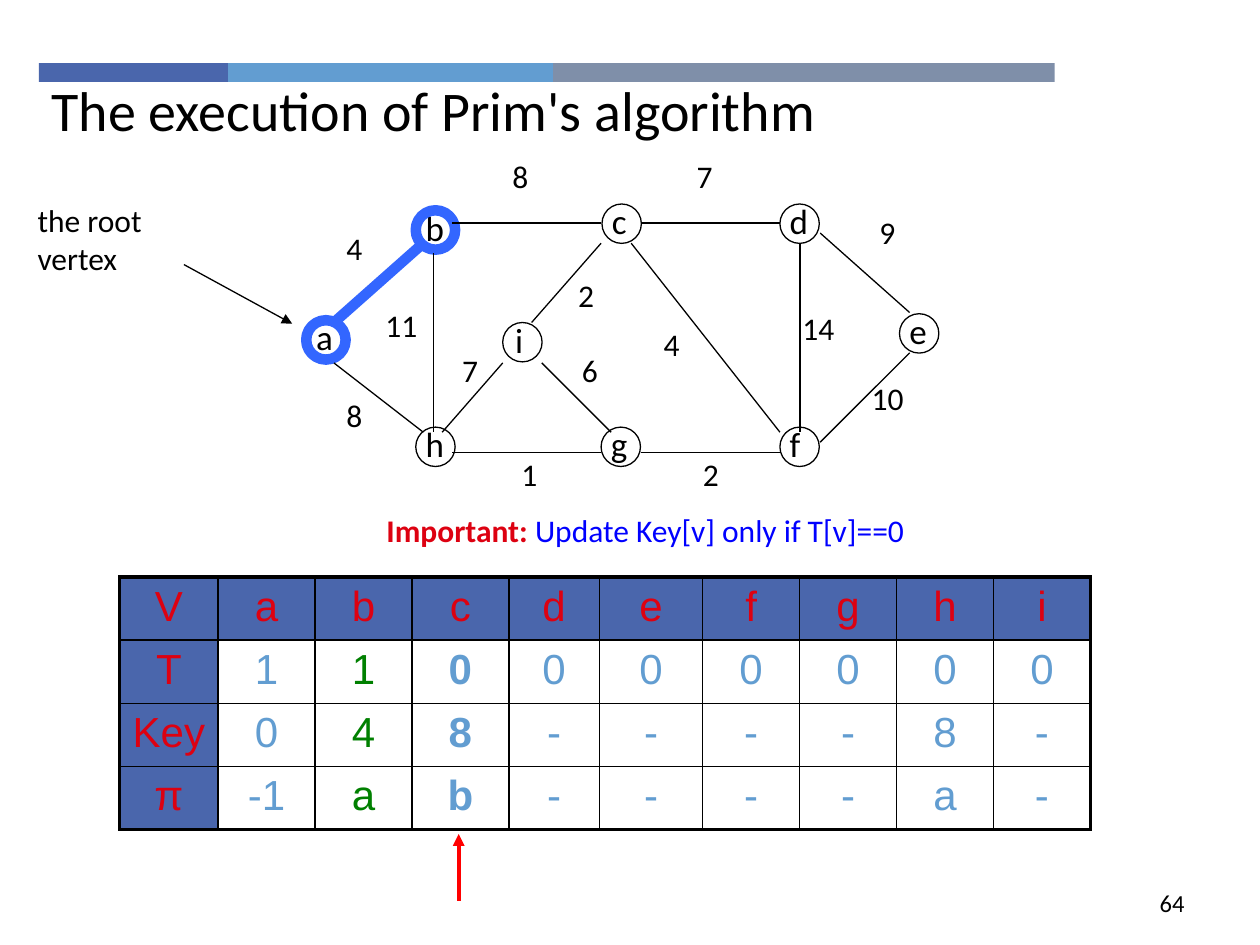
from lxml.etree import SubElement
from pptx import Presentation
from pptx.dml.color import RGBColor
from pptx.enum.shapes import MSO_CONNECTOR, MSO_SHAPE
from pptx.enum.text import MSO_ANCHOR, MSO_AUTO_SIZE, PP_ALIGN
from pptx.oxml.ns import qn
from pptx.util import Pt

BLACK = RGBColor(0x00, 0x00, 0x00)
NAVY = RGBColor(0x4A, 0x66, 0xAC)
SKY = RGBColor(0x62, 0x9D, 0xD1)
SLATE = RGBColor(0x7F, 0x8F, 0xA9)
TREE = RGBColor(0x33, 0x66, 0xFF)
RED = RGBColor(0xDD, 0x01, 0x11)
ARROW = RGBColor(0xFF, 0x00, 0x00)
BLUE = RGBColor(0x00, 0x00, 0xFF)
GREEN = RGBColor(0x00, 0x80, 0x00)

THIN, THICK, BOLD = 0.75, 6, 2.25
SIZE = 22.5  # node diameter

BARS = [(108, NAVY), (185.8, SKY), (286.6, SLATE)]

# name: left, top of the circle
NODES = {
    "a": (175, 183), "b": (237.6, 120.2), "h": (237.6, 244.1),
    "c": (344, 116.6), "d": (445.7, 116.6), "e": (514, 179.3),
    "f": (445.7, 244.1), "g": (343.5, 244.1), "i": (287.3, 184.3),
}
DONE = "ab"

# start, end, weight, left and top of the weight
EDGES = [
    ((190.8, 184.3), (241.9, 139), "4", 190.8, 127.4),
    ((190.8, 207.4), (241.9, 247), "8", 190.8, 222.5),
    ((247.7, 144.7), (247.7, 247), "11", 213.1, 171.4),
    ((258.5, 127.4), (343.5, 127.4), "8", 285.8, 86.4),
    ((258.5, 258.5), (343.5, 258.5), "1", 290.9, 256.3),
    ((366.5, 258.5), (445.7, 258.5), "2", 394.6, 256.3),
    ((360.7, 139), (445.7, 247), "4", 372.2, 182.2),
    ((366.5, 127.4), (445.7, 127.4), "7", 391, 86.4),
    ((457.2, 139), (457.2, 247), "14", 451.4, 172.8),
    ((468.7, 133.2), (519.8, 178.6), "9", 495.4, 118.1),
    ((468.7, 252.7), (519.8, 201.6), "10", 491, 213.1),
    ((309.6, 207.4), (349.2, 247), "6", 325.4, 197.3),
    ((252.7, 247), (287.3, 207.4), "7", 257, 197.3),
    ((303.8, 184.3), (343.5, 139), "2", 323.3, 154.1),
]

COLS = [56.2, 55.4, 55.4, 55.4, 51.8, 59, 55.4, 55.4, 55.4, 55.4]
ROWS = [
    ["V", *"abcdefghi"],
    ["T", *"110000000"],
    ["Key", *"048----8-"],
    ["π", "-1", *"ab----a-"],
]


class Deck:
    """Holds the text style and the current slide."""

    face = "Calibri"

    def __init__(self, slide):
        self.slide = slide
        self.shapes = slide.shapes

    def style(self, font, size, color=BLACK, bold=False, face=None):
        font.name = face or self.face
        font.size = Pt(size)
        font.bold = bold
        font.color.rgb = color

    def title(self, text, x, y, w, h):
        box = self.shapes.title
        box.left, box.top, box.width, box.height = Pt(x), Pt(y), Pt(w), Pt(h)
        frame = box.text_frame
        frame.text = text
        frame.auto_size = MSO_AUTO_SIZE.NONE
        frame.vertical_anchor = MSO_ANCHOR.MIDDLE
        para = frame.paragraphs[0]
        para.alignment = PP_ALIGN.LEFT
        self.style(para.font, 32)

    def text(self, text, x, y, w, h, size=18, wrap=False, align=PP_ALIGN.LEFT):
        box = self.shapes.add_textbox(Pt(x), Pt(y), Pt(w), Pt(h))
        box.text_frame.word_wrap = wrap
        para = box.text_frame.paragraphs[0]
        para.text = text
        para.alignment = align
        self.style(para.font, size)
        return para

    def note(self, parts, x, y, w, h):
        """Adds one line of (text, colour, bold) runs."""
        para = self.text("", x, y, w, h, wrap=True)
        for text, color, bold in parts:
            run = para.add_run()
            run.text = text
            self.style(run.font, 18, color, bold)

    def bar(self, x, y, w, h, color):
        bar = self.shapes.add_shape(MSO_SHAPE.RECTANGLE, Pt(x), Pt(y), Pt(w), Pt(h))
        bar.shadow.inherit = False
        bar.fill.solid()
        bar.fill.fore_color.rgb = color
        bar.line.fill.background()

    def node(self, name, x, y, done):
        shift = 0 if name == "i" else -1.5
        self.text(name, x + shift, y - 6, 26, 31, size=20)
        ring = self.shapes.add_shape(MSO_SHAPE.OVAL, Pt(x), Pt(y), Pt(SIZE), Pt(SIZE))
        ring.shadow.inherit = False
        ring.fill.background()
        ring.line.color.rgb = TREE if done else BLACK
        ring.line.width = Pt(THICK if done else THIN)

    def line(self, start, end, color=BLACK, width=THIN, head=False):
        ends = [Pt(v) for v in (*start, *end)]
        line = self.shapes.add_connector(MSO_CONNECTOR.STRAIGHT, *ends)
        line.line.color.rgb = color
        line.line.width = Pt(width)
        if head:
            SubElement(line.line._get_or_add_ln(), qn("a:tailEnd"), type="triangle")
        SubElement(line._element.spPr, qn("a:effectLst"))

    def border(self, cell, widths):
        props = cell._tc.get_or_add_tcPr()
        for spot, (side, width) in enumerate(widths.items()):
            line = props.makeelement(qn("a:ln" + side), {"w": str(Pt(width))})
            fill = SubElement(line, qn("a:solidFill"))
            SubElement(fill, qn("a:srgbClr"), val=str(BLACK))
            props.insert(spot, line)

    def table(self, rows, cols, x, y, high):
        frame = self.shapes.add_table(
            len(rows), len(cols), Pt(x), Pt(y), Pt(sum(cols)), Pt(high * len(rows)))
        grid = frame.table
        grid.first_row = grid.horz_banding = False
        for col, width in zip(grid.columns, cols):
            col.width = Pt(width)
        for r, row in enumerate(rows):
            grid.rows[r].height = Pt(high)
            for c, text in enumerate(row):
                self.cell(grid.cell(r, c), text, r == 0 or c == 0, c)
                self.border(grid.cell(r, c), {
                    "L": BOLD if c == 0 else 1,
                    "R": BOLD if c == len(cols) - 1 else 1,
                    "T": BOLD if r == 0 else 1,
                    "B": BOLD if r == len(rows) - 1 else 1,
                })

    def cell(self, cell, text, head, col):
        if head:
            cell.fill.solid()
            cell.fill.fore_color.rgb = NAVY
        else:
            cell.fill.background()
        para = cell.text_frame.paragraphs[0]
        para.text = text
        para.alignment = PP_ALIGN.CENTER
        color = RED if head else GREEN if col == 2 else SKY
        self.style(para.font, 24, color, not head and col == 3, "Arial")


def main():
    show = Presentation()
    show.slide_width, show.slide_height = Pt(720), Pt(540)
    deck = Deck(show.slides.add_slide(show.slide_layouts[5]))

    left = 22.3
    for width, color in BARS:
        deck.bar(left, 36, width, 10.8, color)
        left += width
    deck.title("The execution of Prim's algorithm", 22.3, 39.6, 617.8, 45.4)
    deck.text("64", 516.2, 504, 167.8, 25.2, size=14, wrap=True, align=PP_ALIGN.RIGHT)

    deck.text("the root vertex", 14.4, 111.6, 96.5, 64.8, wrap=True)
    deck.line((105.1, 151.2), (167, 185), head=True)
    deck.table(ROWS, COLS, 68.4, 329.8, 36)

    for name, (x, y) in NODES.items():
        deck.node(name, x, y, name in DONE)
    for spot, (start, end, weight, x, y) in enumerate(EDGES):
        if spot == 0:
            deck.line(start, end, TREE, THICK)
        else:
            deck.line(start, end)
        deck.text(weight, x, y, 15 + 9.6 * len(weight), 28.8)

    deck.line((262.1, 514.8), (262.1, 476.6), ARROW, BOLD, head=True)
    deck.note([("Important: ", RED, True),
               ("Update Key[v] only if T[v]==0", BLUE, False)],
              213.8, 288.7, 506.2, 29.5)
    show.save("out.pptx")


if __name__ == "__main__":
    main()
